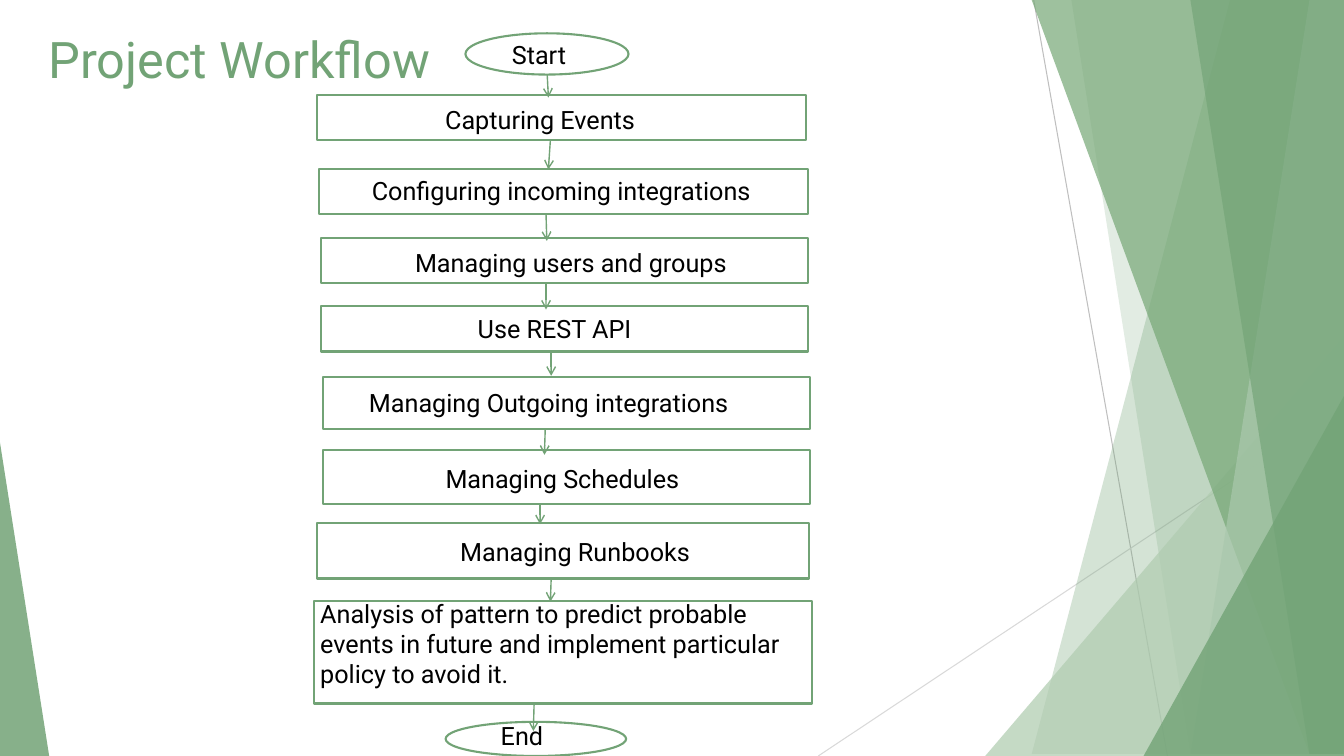
from collections import namedtuple

import lxml.etree
import pptx
import pptx.dml.color
import pptx.enum.shapes
import pptx.enum.text
import pptx.oxml.ns
import pptx.util

Cm = pptx.util.Cm
Pt = pptx.util.Pt
RGB = pptx.dml.color.RGBColor
SHAPE = pptx.enum.shapes.MSO_SHAPE
ALIGN = pptx.enum.text.PP_ALIGN
ANCHOR = pptx.enum.text.MSO_ANCHOR
qn = pptx.oxml.ns.qn

GREEN = RGB(0x72, 0xA3, 0x76)
LEAF = RGB(0x76, 0xA7, 0x76)
MINT = RGB(0xAA, 0xC8, 0xAD)
SAGE = RGB(0xB0, 0xCC, 0xB0)
WHITE = RGB(0xFF, 0xFF, 0xFF)
BLACK = RGB(0, 0, 0)
GREY = RGB(0xBF, 0xBF, 0xBF)
PALE_GREY = RGB(0xD9, 0xD9, 0xD9)

FONT = "Roboto"
WIDTH, HEIGHT = 33.87, 19.05  # cm

Box = namedtuple("Box", "left top width height")
# Outline and label boxes are offsets in cm from the flowchart's corner.
Step = namedtuple("Step", "text kind outline label align")
# Arrow ends in cm: start x, end x, and how far the head enters the next step.
Arrow = namedtuple("Arrow", "start end overlap")

LEFT, CENTER = ALIGN.LEFT, ALIGN.CENTER
STEPS = [
    Step("Start", SHAPE.OVAL, Box(3.93, 0.04, 4.11, 1.04), Box(4.85, 0.06, 2.49, 1.02), LEFT),
    Step("Capturing Events", SHAPE.RECTANGLE,
         Box(0.18, 1.59, 12.34, 1.14), Box(3.17, 1.71, 5.77, 1.02), LEFT),
    Step("Configuring incoming integrations", SHAPE.RECTANGLE,
         Box(0.23, 3.47, 12.34, 1.12), Box(1.32, 3.49, 10.19, 1.02), LEFT),
    Step("Managing users and groups", SHAPE.RECTANGLE,
         Box(0.28, 5.19, 12.29, 1.14), Box(2.41, 5.3, 8.74, 1.02), LEFT),
    Step("Use REST API", SHAPE.RECTANGLE,
         Box(0.28, 6.92, 12.29, 1.14), Box(3.99, 6.97, 5.13, 1.02), LEFT),
    Step("Managing Outgoing integrations", SHAPE.RECTANGLE,
         Box(0.33, 8.7, 12.29, 1.32), Box(0.71, 8.83, 10.64, 1.02), CENTER),
    Step("Managing Schedules", SHAPE.RECTANGLE,
         Box(0.33, 10.55, 12.29, 1.35), Box(1.09, 10.76, 10.57, 1.02), CENTER),
    Step("Managing Runbooks", SHAPE.RECTANGLE,
         Box(0.2, 12.38, 12.4, 1.4), Box(1.6, 12.59, 10.19, 1.02), CENTER),
    Step("Analysis of pattern to predict probable events in future and implement "
         "particular policy to avoid it.", SHAPE.RECTANGLE,
         Box(0.12, 14.34, 12.55, 2.59), Box(0.02, 14.14, 12.78, 4.11), LEFT),
    Step("End", SHAPE.OVAL, Box(3.43, 17.39, 4.55, 0.86), Box(4.57, 17.23, 2.34, 1.02), LEFT),
]
ARROWS = [
    Arrow(5.99, 6.02, 0.07), Arrow(6.07, 6.02, 0), Arrow(5.96, 5.98, 0.08),
    Arrow(5.96, 5.96, 0.08), Arrow(6.09, 6.09, -0.03), Arrow(5.94, 5.92, 0.11),
    Arrow(5.81, 5.81, 0.03), Arrow(6.09, 6.07, 0.02), Arrow(5.66, 5.64, 0.23),
]


def inside(box, part):
    """Shift a part's box by the corner of the box that holds it."""
    return Box(box.left + part.left, box.top + part.top, part.width, part.height)


def lengths(box):
    return [Cm(value) for value in box]


def add_text(slide, box, text, size=18, color=BLACK, align=LEFT, anchor=ANCHOR.TOP):
    frame = slide.shapes.add_textbox(*lengths(box)).text_frame
    frame.word_wrap = True
    frame.vertical_anchor = anchor
    paragraph = frame.paragraphs[0]
    paragraph.alignment = align
    run = paragraph.add_run()
    run.text = text
    run.font.name = FONT
    run.font.size = Pt(size)
    run.font.color.rgb = color


def add_line(slide, start, end, color, width, arrow=False):
    line = slide.shapes.add_connector(
        pptx.enum.shapes.MSO_CONNECTOR.STRAIGHT, *lengths(start + end))
    line.line.color.rgb = color
    line.line.width = Pt(width)
    properties = line._element.spPr
    if arrow:
        outline = properties.find(qn("a:ln"))
        lxml.etree.SubElement(outline, qn("a:tailEnd"), type="arrow")
    lxml.etree.SubElement(properties, qn("a:effectLst"))


def paint_facet(shape, color, opacity):
    shape.shadow.inherit = False
    shape.line.fill.background()
    shape.fill.solid()
    shape.fill.fore_color.rgb = color
    tone = shape._element.spPr.find(qn("a:solidFill"))[0]
    lxml.etree.SubElement(tone, qn("a:alpha"), val=str(opacity * 1000))


def add_triangle(slide, box, apex, color, opacity):
    triangle = slide.shapes.add_shape(SHAPE.ISOSCELES_TRIANGLE, *lengths(box))
    triangle.adjustments[0] = apex
    paint_facet(triangle, color, opacity)


def draw_facets(slide, box):
    """Overlapping translucent facets, measured back from the box's right edge."""
    right, bottom = box.left + box.width, box.top + box.height

    def add_band(top_reach, bottom_reach, color, opacity):
        builder = slide.shapes.build_freeform(right - top_reach, box.top, scale=Cm(1))
        builder.add_line_segments(
            [(right, box.top), (right, bottom), (right - bottom_reach, bottom)])
        paint_facet(builder.convert_to_shape(), color, opacity)

    def add_corner(width, height, color, opacity):
        corner = Box(right - width, bottom - height, width, height)
        add_triangle(slide, corner, 1, color, opacity)

    add_line(slide, (right - 7.82, box.top), (right - 4.45, bottom), GREY, 0.75)
    add_line(slide, (right, box.top + 10.24), (box.left, bottom), PALE_GREY, 0.75)
    add_band(2.67, 8.36, GREEN, 30)
    add_band(7.19, 3.81, GREEN, 20)
    add_corner(9.04, 10.59, SAGE, 72)
    add_band(7.92, 1.07, LEAF, 70)
    add_band(0.76, 3.58, MINT, 70)
    add_band(3.48, 0.38, GREEN, 65)
    add_corner(5.05, 9.07, GREEN, 80)


def draw_flowchart(slide, box):
    # Steps
    for step in STEPS:
        outline = slide.shapes.add_shape(step.kind, *lengths(inside(box, step.outline)))
        outline.shadow.inherit = False
        outline.fill.solid()
        outline.fill.fore_color.rgb = WHITE
        outline.line.color.rgb = GREEN
        outline.line.width = Pt(1.5)
        add_text(slide, inside(box, step.label), step.text, align=step.align)

    # Arrows from each step to the next
    for step, following, arrow in zip(STEPS, STEPS[1:], ARROWS):
        start_y = box.top + step.outline.top + step.outline.height
        end_y = box.top + following.outline.top + arrow.overlap
        add_line(slide, (box.left + arrow.start, start_y),
                 (box.left + arrow.end, end_y), GREEN, 1, arrow=True)


def main():
    deck = pptx.Presentation()
    deck.slide_width, deck.slide_height = Cm(WIDTH), Cm(HEIGHT)
    slide = deck.slides.add_slide(deck.slide_layouts[6])

    # Background
    draw_facets(slide, Box(20.62, 0, 13.25, HEIGHT))
    add_triangle(slide, Box(0, 11.15, 1.24, 7.9), 0, GREEN, 85)

    # Title and workflow
    add_text(slide, Box(0.97, 0.46, 23.88, 2.01), "Project Workflow",
             size=36, color=GREEN, anchor=ANCHOR.MIDDLE)
    draw_flowchart(slide, Box(7.8, 0.8, 12.8, 18.25))

    deck.save("out.pptx")


if __name__ == "__main__":
    main()
